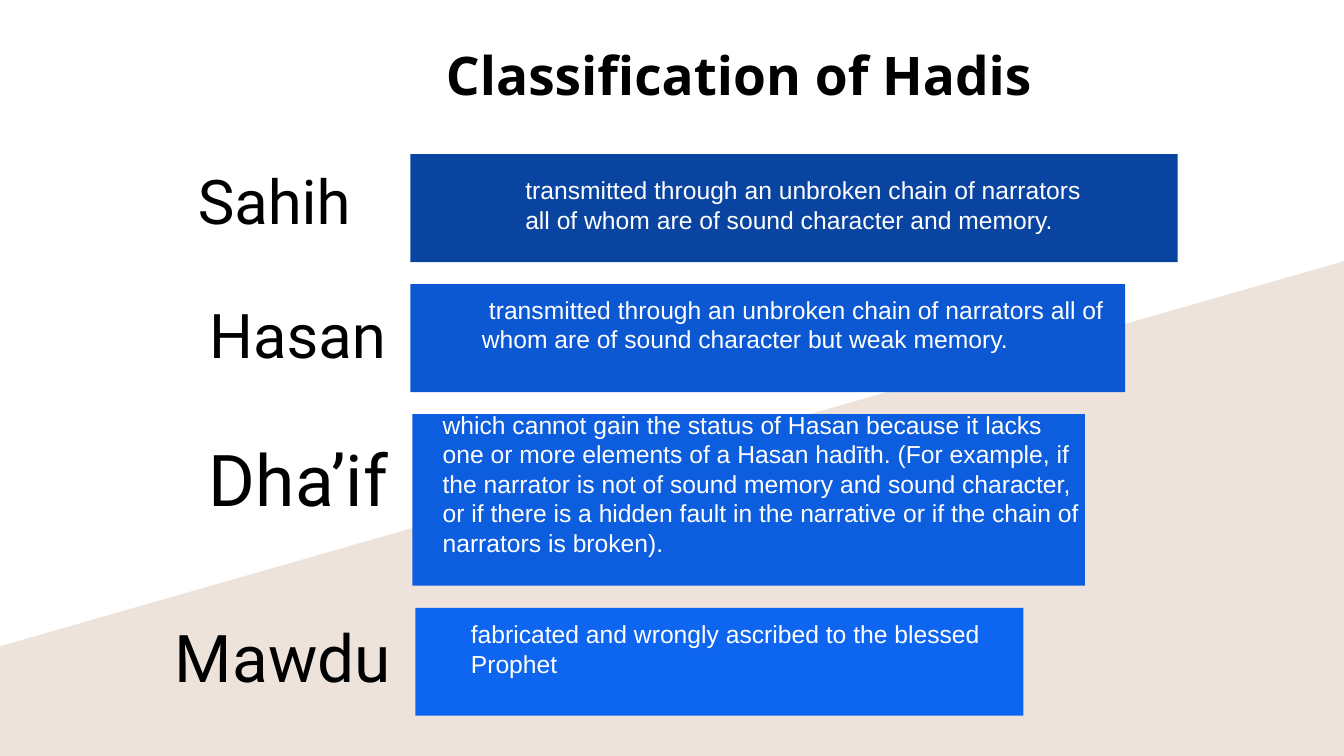
"""Build the Classification of Hadis slide."""
from pptx import Presentation
from pptx.dml.color import RGBColor
from pptx.enum.shapes import MSO_SHAPE
from pptx.enum.text import MSO_ANCHOR, PP_ALIGN
from pptx.util import Inches, Pt

RECT = MSO_SHAPE.RECTANGLE
TOP, MIDDLE = MSO_ANCHOR.TOP, MSO_ANCHOR.MIDDLE
LEFT, CENTER, RIGHT = PP_ALIGN.LEFT, PP_ALIGN.CENTER, PP_ALIGN.RIGHT
BLACK = RGBColor(0x00, 0x00, 0x00)
WHITE = RGBColor(0xFF, 0xFF, 0xFF)
SAND = RGBColor(0xED, 0xE3, 0xDA)
NAVY = RGBColor(0x09, 0x44, 0xA1)
ROYAL = RGBColor(0x0C, 0x58, 0xD3)
COBALT = RGBColor(0x0D, 0x5D, 0xDF)
AZURE = RGBColor(0x0E, 0x65, 0xF0)

prs = Presentation()
prs.slide_width, prs.slide_height = Inches(13.33), Inches(7.5)
slide = prs.slides.add_slide(prs.slide_layouts[6])
slide.background.fill.solid()
slide.background.fill.fore_color.rgb = SAND
shapes = slide.shapes


def paint(shape, color):
    shape.shadow.inherit = False
    shape.fill.solid()
    shape.fill.fore_color.rgb = color
    shape.line.fill.background()


def write(box, text, font, size, color, align, anchor=MIDDLE, pad=(0.13, 0.07)):
    frame = shapes.add_textbox(*map(Inches, box)).text_frame
    frame.word_wrap = True
    frame.vertical_anchor = anchor
    frame.margin_left = frame.margin_right = Inches(pad[0])
    frame.margin_top = frame.margin_bottom = Inches(pad[1])
    para = frame.paragraphs[0]
    para.alignment = align
    run = para.add_run()
    run.text = text
    run.font.name, run.font.size = font, Pt(size)
    run.font.color.rgb = color
    return para


pen = shapes.build_freeform(0, 0)
pen.add_line_segments([(Inches(x), Inches(y)) for x, y in
                       [(13.33, 0), (13.33, 2.59), (0, 6.41)]], close=True)
paint(pen.convert_to_shape(), WHITE)

grades = [
    ("Sahih", 44, (0.87, 1.57, 2.74, 0.92), (4.07, 1.53, 7.61, 1.07), NAVY,
     (4.21, 1.57, 6.95, 0.92), 0,
     "transmitted through an unbroken chain of narrators all of whom are "
     "of sound character and memory."),
    ("Hasan", 44, (0.65, 2.9, 3.31, 0.92), (4.07, 2.82, 7.09, 1.07), ROYAL,
     (3.78, 2.83, 7.9, 0.77), 0.07,
     "transmitted through an unbroken chain of narrators all of whom are "
     "of sound character but weak memory."),
    ("Dha’if", 51, (1.53, 4.34, 2.45, 0.92), (4.09, 4.11, 6.67, 1.7), COBALT,
     (3.39, 4.41, 7.54, 0.77), 0,
     "which cannot gain the status of Hasan because it lacks one or more "
     "elements of a Hasan hadīth. (For example, if the narrator is not of "
     "sound memory and sound character, or if there is a hidden fault in the "
     "narrative or if the chain of narrators is broken)."),
    ("Mawdu", 47, (0.83, 6.1, 3.18, 0.92), (4.12, 6.03, 6.03, 1.07), AZURE,
     (3.67, 6.05, 6.25, 0.77), 0,
     "fabricated and wrongly ascribed to the blessed Prophet"),
]
for name, size, label, bar, color, box, indent, text in grades:
    para = write(label, name, "Roboto", size, BLACK, RIGHT)
    para.line_spacing = 0.9
    paint(shapes.add_shape(RECT, *map(Inches, bar)), color)
    para = write(box, text, "Arial", 17.6, WHITE, LEFT)
    para.space_before = Pt(11)
    props = para._p.get_or_add_pPr()
    props.set("marL", str(Inches(0.87)))
    props.set("indent", str(Inches(indent)))

title = write((1.33, 0.32, 12, 1.21), "Classification of Hadis", "Open Sans",
              38, BLACK, CENTER, TOP, (0.1, 0.1))
title.runs[0].font.bold = True

prs.save("out.pptx")
